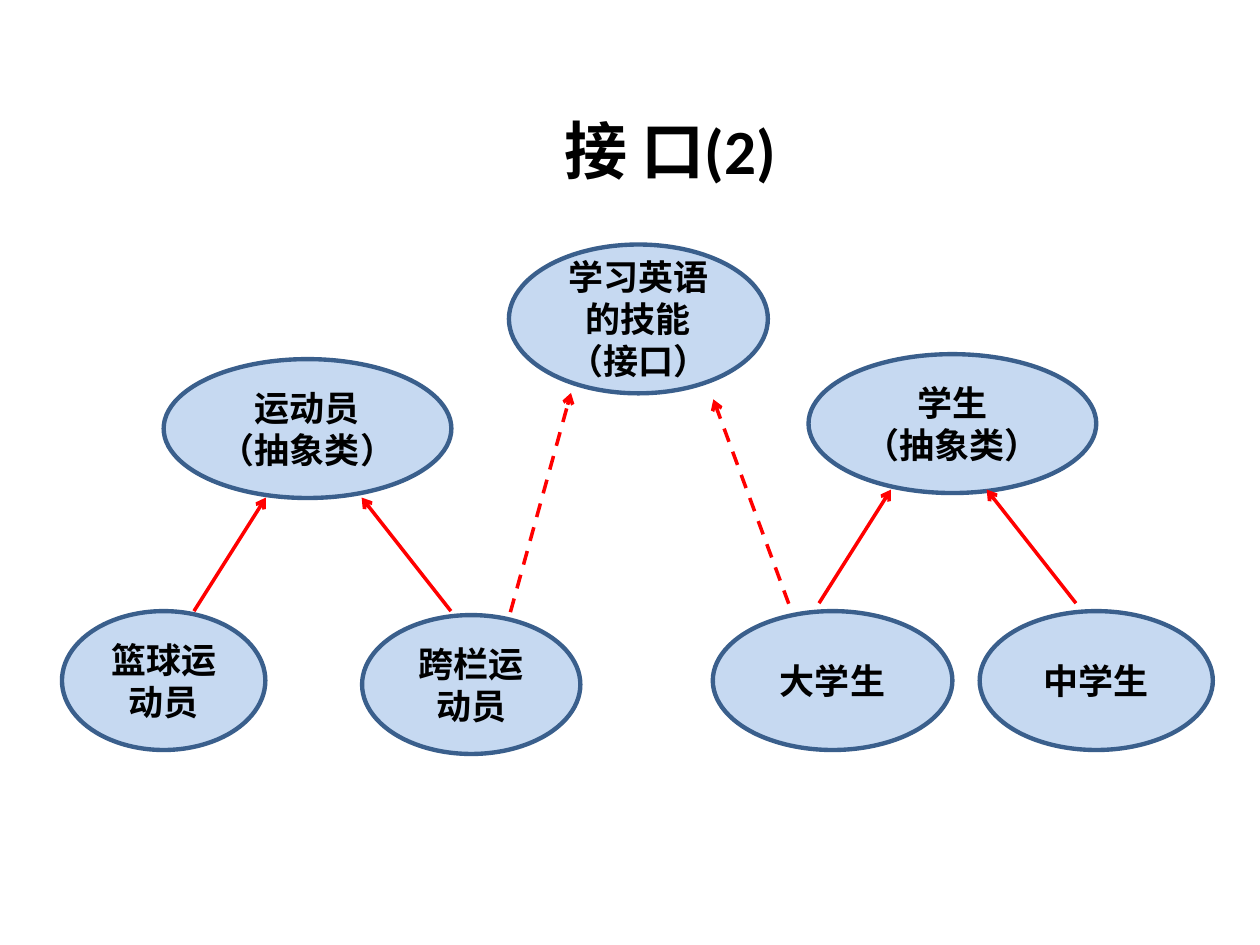
from lxml import etree
from pptx import Presentation
from pptx.dml.color import RGBColor
from pptx.enum.dml import MSO_LINE
from pptx.enum.shapes import MSO_CONNECTOR, MSO_SHAPE
from pptx.enum.text import MSO_ANCHOR, PP_ALIGN
from pptx.oxml.ns import qn
from pptx.util import Cm, Pt

ELLIPSE, STRAIGHT = MSO_SHAPE.OVAL, MSO_CONNECTOR.STRAIGHT
CENTER, MIDDLE = PP_ALIGN.CENTER, MSO_ANCHOR.MIDDLE
DASH = MSO_LINE.DASH

COLORS = {"text": "000000", "fill": "C6D9F1", "outline": "3A5F8C",
          "arrow": "FF0000", "background": "FFFFFF"}
CJK_FONT = "Noto Sans CJK SC"


def rgb(name):
    return RGBColor.from_string(COLORS[name])


def write_text(tf, text, size=20, font=CJK_FONT, color="text", bold=True):
    """Write one centred paragraph for each line of text."""
    tf.word_wrap = True
    tf.vertical_anchor = MIDDLE
    for i, line in enumerate(text.split("\n")):
        p = tf.paragraphs[0] if i == 0 else tf.add_paragraph()
        p.alignment = CENTER
        r = p.add_run()
        r.text = line
        r.font.size, r.font.name, r.font.bold = Pt(size), font, bold
        r.font.color.rgb = rgb(color)
        ea = etree.SubElement(r.font._element, qn("a:ea"))
        ea.set("typeface", CJK_FONT)


class Diagram:
    def __init__(self, slide):
        self.s = slide
        self.outline_width = Pt(2.5)
        self.arrow_width = Pt(2)
        slide.background.fill.solid()
        slide.background.fill.fore_color.rgb = rgb("background")

    def title(self, text, x, y, w, h):
        box = self.s.shapes.add_textbox(Cm(x), Cm(y), Cm(w), Cm(h))
        write_text(box.text_frame, text, size=36, font="Calibri")

    def node(self, text, x, y, w, h=2.8):
        sp = self.s.shapes.add_shape(ELLIPSE, Cm(x), Cm(y), Cm(w), Cm(h))
        sp.shadow.inherit = False
        sp.fill.solid()
        sp.fill.fore_color.rgb = rgb("fill")
        sp.line.color.rgb = rgb("outline")
        sp.line.width = self.outline_width
        write_text(sp.text_frame, text)

    def arrow(self, x1, y1, x2, y2, dashed=False):
        c = self.s.shapes.add_connector(STRAIGHT, Cm(x1), Cm(y1), Cm(x2), Cm(y2))
        c.line.color.rgb = rgb("arrow")
        c.line.width = self.arrow_width
        if dashed:
            c.line.dash_style = DASH
        etree.SubElement(c.line._get_or_add_ln(), qn("a:tailEnd")).set("type", "arrow")
        etree.SubElement(c._element.spPr, qn("a:effectLst"))


def main():
    prs = Presentation()
    prs.slide_width, prs.slide_height = Cm(25.4), Cm(19.05)
    d = Diagram(prs.slides.add_slide(prs.slide_layouts[6]))

    d.title("接 口(2)", 7.26, 1.93, 12.5, 2.18)

    # Abstract classes
    d.node("运动员\n（抽象类）", 3.3, 7.24, 5.8)
    d.node("学生\n（抽象类）", 16.3, 7.14, 5.8)

    # Concrete classes
    for text, x, y, w in [("篮球运动员", 1.25, 12.32, 4.1),
                          ("跨栏运动员", 7.3, 12.4, 4.4),
                          ("大学生", 14.37, 12.32, 4.83),
                          ("中学生", 19.75, 12.32, 4.7)]:
        d.node(text, x, y, w)

    # Inheritance: a pair of arrows rising to each abstract class
    for x, y in [(3.91, 12.32), (16.51, 12.16)]:
        d.arrow(x, y, x + 1.45, y - 2.29)
        d.arrow(x + 5.18, y, x + 3.38, y - 2.29)

    # Interface and its implementations
    d.arrow(15.9, 12.17, 14.38, 8.05, dashed=True)
    d.arrow(10.29, 12.34, 11.51, 7.92, dashed=True)
    d.node("学习英语的技能\n（接口）", 10.26, 4.93, 5.22, 3)

    prs.save("out.pptx")


if __name__ == "__main__":
    main()
